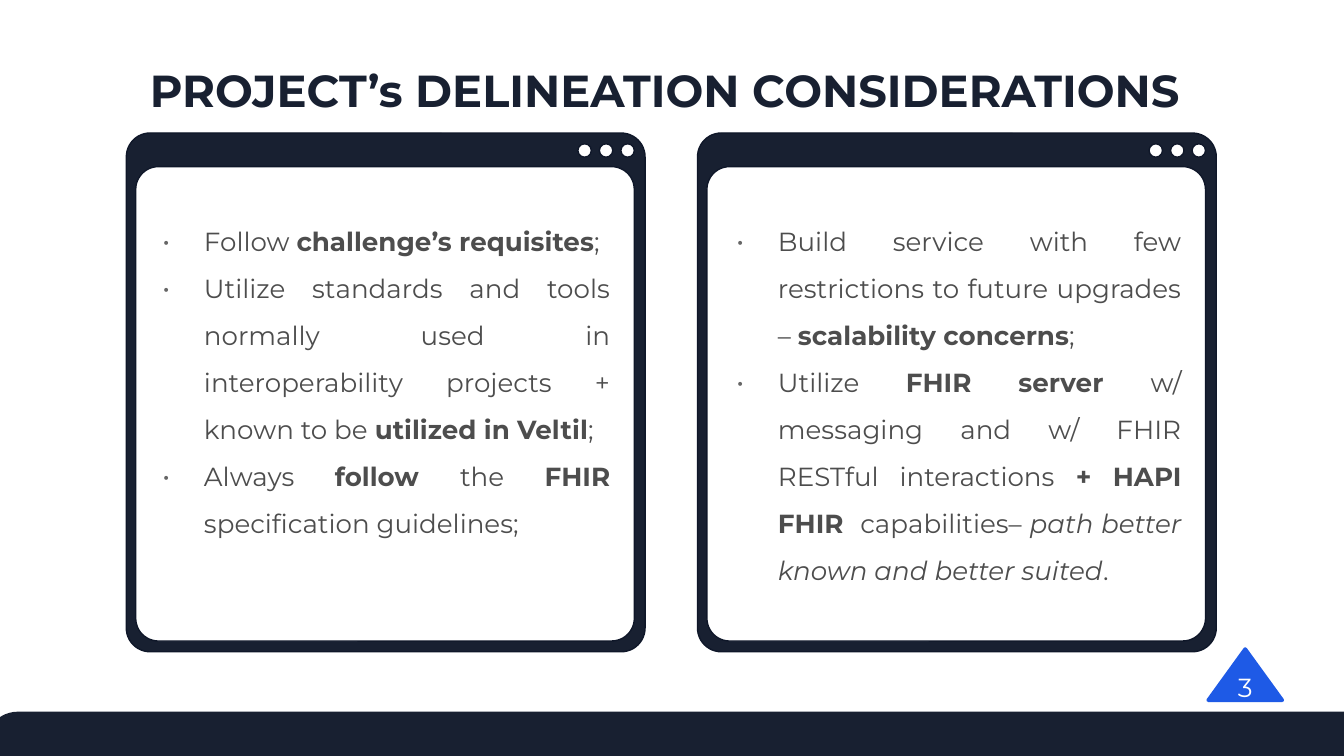
"""Build the slide on project delineation considerations with two window cards."""
from lxml import etree
from pptx import Presentation
from pptx import util as u
from pptx.dml.color import RGBColor
from pptx.enum import shapes, text
from pptx.oxml.ns import qn

I = u.Inches
COLORS = {"navy": "182031", "edge": "0F1729", "white": "FFFFFF",
          "blue": "1E5AE6", "body": "4D4D4D", "bullet": "666666"}
STYLES = {"": {}, "b": {"bold": True}, "i": {"italic": True}}
ROUND = shapes.MSO_SHAPE.ROUNDED_RECTANGLE
OVAL = shapes.MSO_SHAPE.OVAL
TRIANGLE = shapes.MSO_SHAPE.ISOSCELES_TRIANGLE


def add_shape(kind, box, fill, line, width, adj=None):
    sp = s.shapes.add_shape(kind, *map(I, box))
    sp.shadow.inherit = False
    sp.fill.solid()
    sp.fill.fore_color.rgb = RGBColor.from_string(COLORS[fill])
    sp.line.color.rgb = RGBColor.from_string(COLORS[line])
    sp.line.width = u.Pt(width)
    if adj is not None:
        sp.adjustments[0] = adj
    return sp


def add_run(p, words, color, **values):
    r = p.add_run()
    r.text = words
    r.font.color.rgb = RGBColor.from_string(COLORS[color])
    for name, value in {"name": "Montserrat", "size": u.Pt(14), **values}.items():
        setattr(r.font, name, value)


prs = Presentation()
prs.slide_width = I(10)
prs.slide_height = I(10 * 9 / 16)
s = prs.slides.add_slide(prs.slide_layouts[5])

title = s.shapes.title
title.left, title.top, title.width, title.height = I(0), I(0.31), I(10), I(0.51)
tf = title.text_frame
frame = {"word_wrap": True, "auto_size": text.MSO_AUTO_SIZE.NONE,
         "vertical_anchor": text.MSO_ANCHOR.TOP, "margin_left": I(0.1),
         "margin_right": I(0.1), "margin_top": I(0.1), "margin_bottom": I(0.1)}
for name, value in frame.items():
    setattr(tf, name, value)
p = tf.paragraphs[0]
p.alignment = text.PP_ALIGN.CENTER
add_run(p, "PROJECT’s DELINEATION CONSIDERATIONS", "navy", size=u.Pt(24), bold=True)
add_run(p, " ", "navy", size=u.Pt(28), bold=True)

cards = [
    (0.94, 1.11, 3.53, [
        [("Follow ", ""), ("challenge’s requisites", "b"), (";", "")],
        [("Utilize standards and tools normally used in interoperability "
          "projects + known to be ", ""), ("utilized in Veltil", "b"), (";", "")],
        [("Always ", ""), ("follow ", "b"), ("the ", ""), ("FHIR ", "b"),
         ("specification guidelines;", "")],
    ]),
    (5.19, 5.38, 3.51, [
        [("Build service with few restrictions to future upgrades – ", ""),
         ("scalability concerns", "b"), (";", "")],
        [("Utilize ", ""), ("FHIR server ", "b"),
         ("w/ messaging and w/ FHIR RESTful interactions ", ""),
         ("+ HAPI FHIR  ", "b"), ("capabilities– ", ""),
         ("path better known and better suited", "i"), (". ", "")],
    ]),
]
for left, text_left, text_width, items in cards:
    add_shape(ROUND, (left, 0.99, 3.86, 3.86), "navy", "edge", 0.75, 0.046)
    add_shape(ROUND, (left + 0.07, 1.24, 3.71, 3.53), "white", "edge", 0.75, 0.048)
    for i in range(3):
        add_shape(OVAL, (left + 3.36 + 0.16 * i, 1.07, 0.1, 0.1), "white", "edge", 0.75)
    tf = s.shapes.add_textbox(I(text_left), I(1.46), I(text_width), I(2.95)).text_frame
    for name, value in frame.items():
        setattr(tf, name, value)
    for i, item in enumerate(items):
        p = tf.add_paragraph() if i else tf.paragraphs[0]
        p.alignment = text.PP_ALIGN.JUSTIFY
        p.line_spacing = 1.5
        pPr = p._p.get_or_add_pPr()
        pPr.set("marL", str(I(0.31)))
        pPr.set("indent", str(-I(0.31)))
        color = etree.SubElement(pPr, qn("a:buClr"))
        etree.SubElement(color, qn("a:srgbClr"), val=COLORS["bullet"])
        etree.SubElement(pPr, qn("a:buFont"), typeface="Montserrat")
        etree.SubElement(pPr, qn("a:buChar"), char="•")
        for words, style in item:
            add_run(p, words, "body", **STYLES[style])

badge = add_shape(TRIANGLE, (8.99, 4.83, 0.55, 0.38), "blue", "blue", 2)
etree.SubElement(badge.line._get_or_add_ln(), qn("a:round"))
tf = badge.text_frame
for name, value in {"word_wrap": False, "vertical_anchor": text.MSO_ANCHOR.MIDDLE,
                    "margin_left": 0, "margin_right": 0,
                    "margin_top": 0, "margin_bottom": 0}.items():
    setattr(tf, name, value)
p = tf.paragraphs[0]
p.alignment = text.PP_ALIGN.CENTER
add_run(p, "3", "white")

add_shape(ROUND, (-0.09, 5.31, 10.71, 1.33), "navy", "navy", 2)

prs.save("out.pptx")
